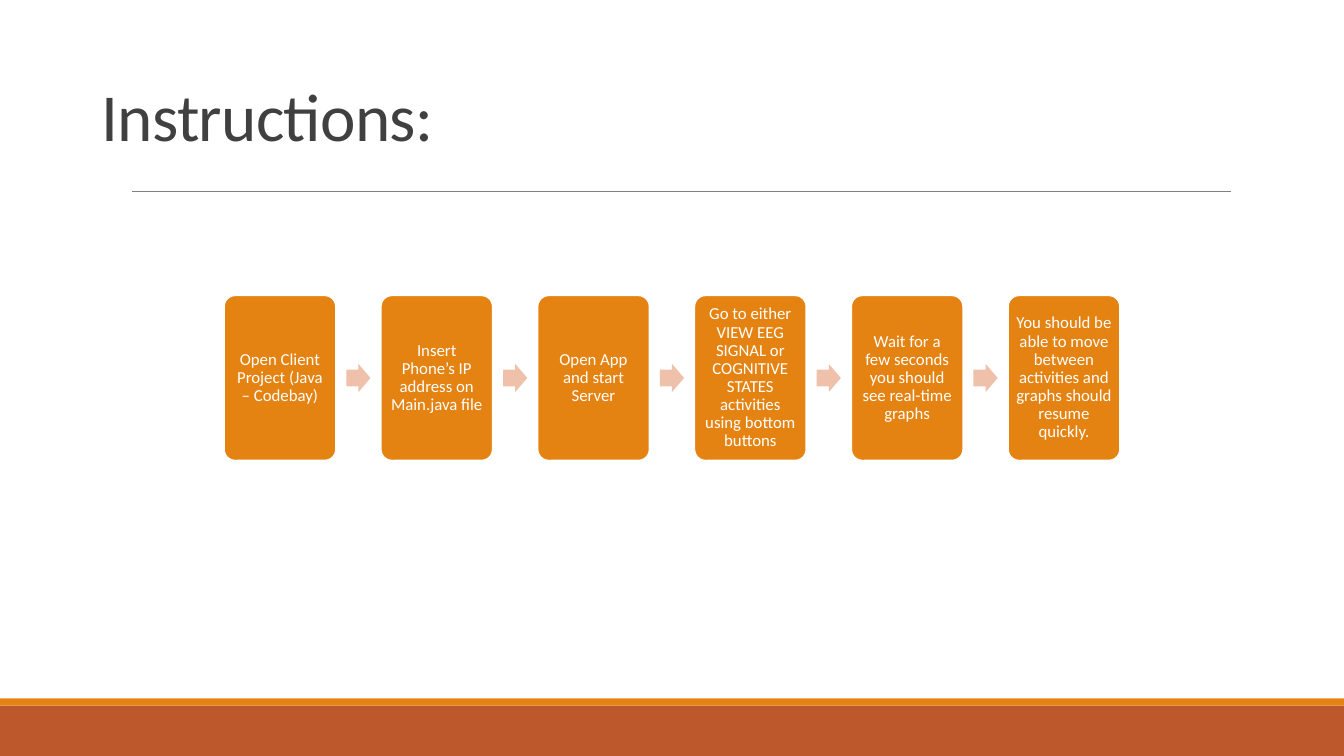
from lxml import etree
from pptx import Presentation
from pptx.dml.color import RGBColor
from pptx.enum.shapes import MSO_CONNECTOR, MSO_SHAPE
from pptx.enum.text import MSO_ANCHOR, PP_ALIGN
from pptx.oxml.ns import qn
from pptx.util import Inches, Pt

RECTANGLE = MSO_SHAPE.RECTANGLE
ROUNDED = MSO_SHAPE.ROUNDED_RECTANGLE
ARROW = MSO_SHAPE.RIGHT_ARROW
STRAIGHT = MSO_CONNECTOR.STRAIGHT
MIDDLE, BOTTOM = MSO_ANCHOR.MIDDLE, MSO_ANCHOR.BOTTOM
CENTER, LEFT = PP_ALIGN.CENTER, PP_ALIGN.LEFT

STEPS = [
    "Open Client Project (Java – Codebay)",
    "Insert Phone’s IP address on Main.java file",
    "Open App and start Server",
    "Go to either VIEW EEG SIGNAL or COGNITIVE STATES activities using bottom buttons",
    "Wait for a few seconds you should see real-time graphs",
    "You should be able to move between activities and graphs should resume quickly.",
]


def color(value):
    return RGBColor.from_string(value)


def apply(target, values):
    for name, value in values.items():
        setattr(target, name, value)


class SlideBuilder:
    font = "Calibri"
    orange, rust, peach = "E48312", "BD582C", "EFC1AB"
    white, charcoal, gray = "FFFFFF", "404040", "808080"

    def __init__(self, presentation):
        self.width = presentation.slide_width
        self.height = presentation.slide_height
        self.slide = presentation.slides.add_slide(presentation.slide_layouts[6])

    def place(self, left, top, width, height):
        return (round(left * self.width), round(top * self.height),
                round(width * self.width), round(height * self.height))

    def shape(self, kind, box, fill, adjustments=()):
        shape = self.slide.shapes.add_shape(kind, *self.place(*box))
        shape.shadow.inherit = False
        shape.fill.solid()
        shape.fill.fore_color.rgb = color(fill)
        shape.line.fill.background()
        for index, value in enumerate(adjustments):
            shape.adjustments[index] = value
        return shape

    def add_text(self, shape, text, size, text_color, paragraph_format, frame_format):
        apply(shape.text_frame, {"word_wrap": True, **frame_format})
        paragraph = shape.text_frame.paragraphs[0]
        apply(paragraph, paragraph_format)
        run = paragraph.add_run()
        run.text = text
        apply(run.font, {"name": self.font, "size": Pt(size)})
        run.font.color.rgb = color(text_color)
        return run

    def title(self, text, box):
        shape = self.slide.shapes.add_textbox(*self.place(*box))
        run = self.add_text(shape, text, 48, self.charcoal,
                            {"alignment": LEFT, "line_spacing": 0.85},
                            {"vertical_anchor": BOTTOM})
        run.font._element.set("spc", "-50")

    def card(self, text, box):
        shape = self.shape(ROUNDED, box, self.orange, [0.1])
        shape.line.color.rgb = color(self.white)
        shape.line.width = Pt(1.25)
        inset = Inches(0.05)
        self.add_text(shape, text, 12, self.white,
                      {"alignment": CENTER, "line_spacing": 0.9},
                      {"vertical_anchor": MIDDLE, "margin_left": inset, "margin_right": inset,
                       "margin_top": inset, "margin_bottom": inset})

    def rule(self, left, top, width):
        x, y, length, _ = self.place(left, top, width, 0)
        connector = self.slide.shapes.add_connector(STRAIGHT, x, y, x + length, y)
        connector.line.color.rgb = color(self.gray)
        connector.line.width = Pt(0.5)
        etree.SubElement(connector._element.spPr, qn("a:effectLst"))

    def process(self, steps, left, center, pitch, card_size, arrow_size):
        card_width, card_height = card_size
        arrow_width, arrow_height = arrow_size
        arrow_offset = (card_width + pitch - arrow_width) / 2
        for index, step in enumerate(steps):
            x = left + index * pitch
            self.card(step, (x, center - card_height / 2, card_width, card_height))
            if index < len(steps) - 1:
                self.shape(ARROW, (x + arrow_offset, center - arrow_height / 2,
                                   arrow_width, arrow_height), self.peach, [0.6, 0.5])


def main():
    presentation = Presentation()
    presentation.slide_width = Inches(13.33)
    presentation.slide_height = Inches(7.5)
    builder = SlideBuilder(presentation)
    builder.shape(RECTANGLE, (0, 14 / 15, 1, 1 / 15), builder.rust)
    builder.shape(RECTANGLE, (0, 6.93 / 7.5, 1, 0.07 / 7.5), builder.orange)
    builder.rule(1.31 / 13.33, 1.9 / 7.5, 10.9 / 13.33)
    builder.title("Instructions:", (0.91 / 13.33, 0, 11 / 13.33, 1.59 / 7.5))
    builder.process(STEPS, left=1 / 6, center=0.5, pitch=7 / 60,
                    card_size=(1 / 12, 1.64 / 7.5),
                    arrow_size=(0.24 / 13.33, 0.28 / 7.5))
    presentation.save("out.pptx")


if __name__ == "__main__":
    main()
